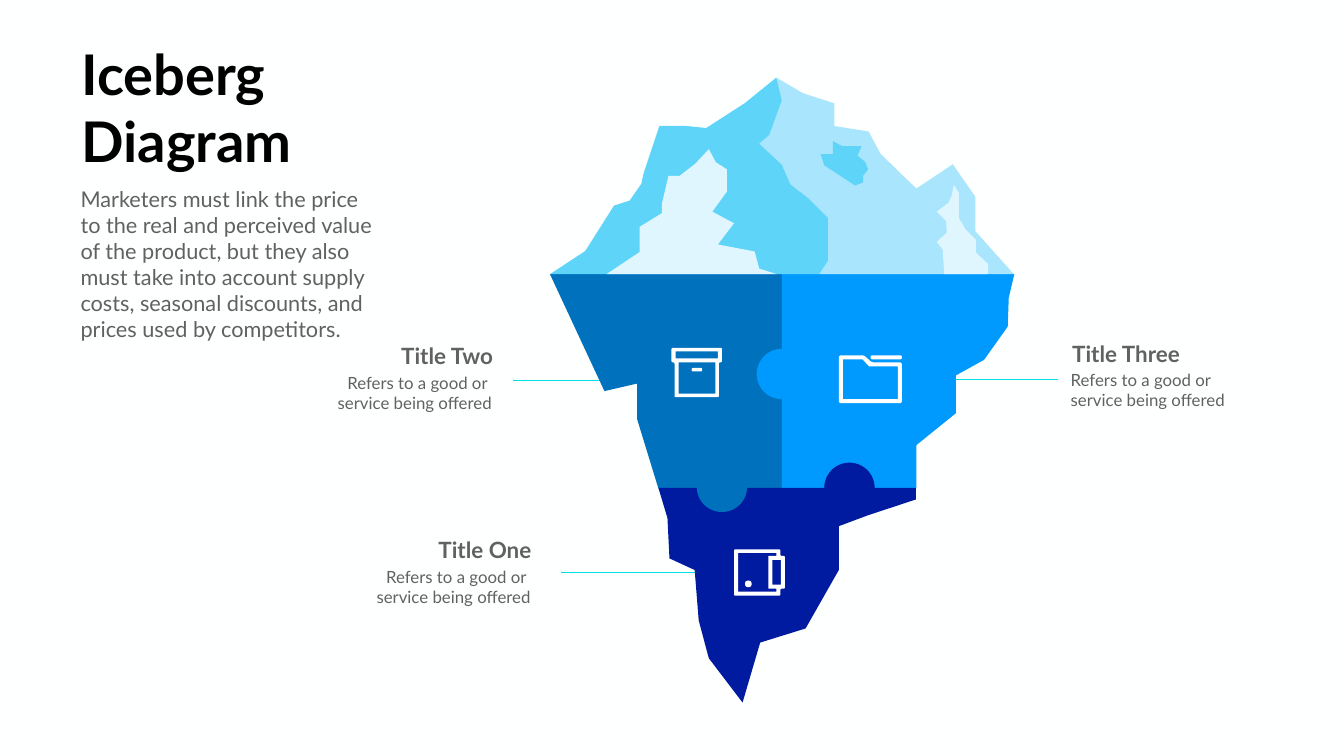
from dataclasses import dataclass
from math import cos, dist, radians, sin

from lxml.etree import SubElement
from pptx import Presentation
from pptx.dml.color import RGBColor
from pptx.enum.shapes import MSO_CONNECTOR
from pptx.enum.text import MSO_AUTO_SIZE, PP_ALIGN
from pptx.oxml.ns import qn
from pptx.util import Emu, Pt

PX = 9144
FINE = 10


@dataclass(frozen=True)
class Theme:
    font: str = "Lato"
    background: str = "FEFFFF"
    heading: str = "000000"
    body: str = "616161"
    line: str = "00DFE5"
    navy: str = "011BA0"
    deep: str = "0071BD"
    bright: str = "009AFF"
    sky: str = "5ED4F8"
    pale: str = "A9E5FD"
    snow: str = "DFF6FE"
    icon: str = "FFFFFF"
    heading_size: float = 80
    intro_size: float = 31
    title_size: float = 32
    detail_size: float = 24
    line_width: float = 1.45


THEME = Theme()

CALLOUTS = [
    ("Title Three", ["Refers to a good or", "service being offered"],
     (2117, 669), (2114, 729), (1730, 2099, 753), PP_ALIGN.LEFT),
    ("Title One", ["Refers to a good or ", "service being offered"],
     (821, 1058), (731, 1119), (1113, 1482, 1136), PP_ALIGN.RIGHT),
    ("Title Two", ["Refers to a good or ", "service being offered"],
     (745, 673), (654, 735), (1018, 1386, 755), PP_ALIGN.RIGHT),
]


def arc(x, y, radius, start, end, steps=24):
    angles = [radians(start + (end - start) * i / steps) for i in range(steps + 1)]
    return [(x + radius * cos(a), y + radius * sin(a)) for a in angles]


def rounded(corners, radius=3):
    points = []
    following = corners[1:] + corners[:1]
    for before, corner, after in zip(corners[-1:] + corners[:-1], corners, following):
        ends = []
        for neighbour in (before, after):
            share = radius / dist(corner, neighbour)
            ends.append([c + (n - c) * share for c, n in zip(corner, neighbour)])
        for t in (0, 0.25, 0.5, 0.75, 1):
            points.append(tuple((1 - t) ** 2 * a + 2 * t * (1 - t) * c + t ** 2 * b
                                for a, c, b in zip(ends[0], corner, ends[1])))
    return points


def rectangle(left, top, right, bottom):
    return [(left, top), (right, top), (right, bottom), (left, bottom)]


def add_outline(page, color, *contours):
    builder = None
    for contour in contours:
        (x, y), *rest = [(a * FINE, b * FINE) for a, b in contour]
        if builder is None:
            builder = page.shapes.build_freeform(x, y, scale=PX / FINE)
        else:
            builder.move_to(x, y)
        builder.add_line_segments(rest, close=True)
    shape = builder.convert_to_shape()
    shape.shadow.inherit = False
    shape.fill.solid()
    shape.fill.fore_color.rgb = RGBColor.from_string(color)
    shape.line.fill.background()


def add_text(page, lines, bounds, size, color=THEME.body, bold=False,
             align=PP_ALIGN.LEFT, wrap=True):
    box = page.shapes.add_textbox(*(Emu(value * PX) for value in bounds))
    frame = box.text_frame
    frame.word_wrap = wrap
    frame.auto_size = MSO_AUTO_SIZE.SHAPE_TO_FIT_TEXT
    for index, line in enumerate(lines):
        para = frame.add_paragraph() if index else frame.paragraphs[0]
        para.text = line
        para.alignment = align
        para.font.name = THEME.font
        para.font.size = Pt(size)
        para.font.bold = bold
        para.font.color.rgb = RGBColor.from_string(color)


def add_leader(page, start, end, y):
    leader = page.shapes.add_connector(
        MSO_CONNECTOR.STRAIGHT, *(Emu(value * PX) for value in (start, y, end, y)))
    leader.line.color.rgb = RGBColor.from_string(THEME.line)
    leader.line.width = Pt(THEME.line_width)
    SubElement(leader.element.spPr, qn("a:effectLst"))


def add_submerged_pieces(page):
    add_outline(page, THEME.deep, [
        (1551, 544), (1091, 544), (1199, 776), (1264, 761), (1264, 832), (1306, 969),
        *arc(1432, 969, 50, 180, 0), (1551, 969)])
    add_outline(page, THEME.bright, [
        (1551, 544), *arc(1551, 742, 50, 270, 90), (1551, 969), (1818, 969),
        (1818, 883), (1896, 820), (1896, 745), (1952, 714), (1999, 648),
        (2001, 591), (2012, 544)])
    add_outline(page, THEME.navy, [
        *arc(1685, 968, 50, 0, -180), (1306, 968), (1324, 1028), (1328, 1108),
        (1378, 1131), (1386, 1231), (1406, 1306), (1473, 1394), (1508, 1275),
        (1598, 1247), (1664, 1131), (1664, 1044), (1723, 1022), (1817, 991),
        (1817, 968)])
    add_outline(page, THEME.deep, arc(1432, 966, 50, 0, 180))


def add_tip(page):
    ridge = [(1540, 154), (1551, 199), (1526, 268), (1506, 285), (1551, 327),
             (1568, 366), (1603, 393), (1642, 432), (1642, 518), (1625, 544)]
    add_outline(page, THEME.pale, ridge + [
        (2011, 544), (1935, 459), (1935, 391), (1890, 326), (1818, 374), (1785, 343),
        (1746, 304), (1723, 261), (1655, 250), (1655, 205), (1593, 185)])
    add_outline(page, THEME.sky, ridge + [
        (1091, 544), (1161, 498), (1218, 408), (1249, 398), (1272, 365), (1277, 343),
        (1308, 250), (1361, 250), (1401, 254), (1477, 205)])
    add_outline(page, THEME.snow, [
        (1203, 544), (1269, 500), (1269, 450), (1313, 423), (1313, 404), (1326, 349),
        (1348, 349), (1379, 325), (1406, 296), (1420, 322), (1442, 336), (1442, 380),
        (1413, 420), (1456, 443), (1424, 485), (1497, 499), (1506, 533), (1541, 544)])
    add_outline(page, THEME.sky, [
        (1696, 368), (1712, 362), (1712, 349), (1722, 336), (1716, 321), (1701, 309),
        (1709, 290), (1671, 290), (1652, 280), (1652, 306), (1628, 306), (1635, 328)])
    add_outline(page, THEME.snow, [
        (1888, 387), (1892, 367), (1902, 382), (1902, 433), (1916, 456), (1936, 476),
        (1936, 501), (1960, 524), (1960, 544), (1873, 544), (1870, 495), (1858, 480),
        (1878, 462), (1877, 439), (1858, 420), (1882, 402)])


def add_icons(page):
    wallet = [(1456, 1090), (1548, 1090), (1548, 1103), (1557, 1103),
              (1557, 1168), (1548, 1168), (1548, 1182), (1456, 1182)]
    pocket = [(1464, 1097), (1540, 1097), (1540, 1103), (1524, 1103),
              (1524, 1168), (1540, 1168), (1540, 1174), (1464, 1174)]
    add_outline(page, THEME.icon, rounded(wallet), pocket,
                rectangle(1532, 1111, 1549, 1160))
    add_outline(page, THEME.icon, rounded(rectangle(1478, 1152, 1491, 1165), 6))

    folder = [(1664, 705), (1714, 705), (1729, 719), (1789, 719),
              (1789, 800), (1664, 800)]
    inside = [(1672, 713), (1711, 713), (1724, 727), (1781, 727),
              (1781, 792), (1672, 792)]
    add_outline(page, THEME.icon, rounded(folder, 5), inside)
    add_outline(page, THEME.icon, rounded(rectangle(1727, 705, 1789, 713), 4))

    archive = [(1332, 690), (1432, 690), (1432, 719), (1426, 719),
               (1426, 788), (1338, 788), (1338, 719), (1332, 719)]
    add_outline(page, THEME.icon, rounded(archive), rectangle(1340, 697, 1424, 711),
                rectangle(1346, 719, 1419, 781))
    add_outline(page, THEME.icon, rounded(rectangle(1372, 730, 1393, 737)))


def add_callout_text(page, title, details, title_at, details_at, align):
    add_text(page, [title], (*title_at, 243, 64), THEME.title_size,
             bold=True, align=align)
    add_text(page, details, (*details_at, 331, 91), THEME.detail_size, align=align)


def main():
    deck = Presentation()
    deck.slide_width = Emu(2666 * PX)
    deck.slide_height = Emu(1500 * PX)
    page = deck.slides.add_slide(deck.slide_layouts[6])
    page.background.fill.solid()
    page.background.fill.fore_color.rgb = RGBColor.from_string(THEME.background)

    for *_, leader, _ in CALLOUTS:
        add_leader(page, *leader)
    add_submerged_pieces(page)
    add_tip(page)
    add_icons(page)

    add_text(page, ["Iceberg", "Diagram"], (152, 73, 446, 279), THEME.heading_size,
             color=THEME.heading, bold=True, wrap=False)
    add_text(page, ["Marketers must link the price to the real and perceived value of "
                    "the product, but they also must take into account supply costs, "
                    "seasonal discounts, and prices used by competitors."],
             (150, 363, 616, 323), THEME.intro_size)
    for title, details, title_at, details_at, _, align in CALLOUTS:
        add_callout_text(page, title, details, title_at, details_at, align)
    deck.save("out.pptx")


if __name__ == "__main__":
    main()
